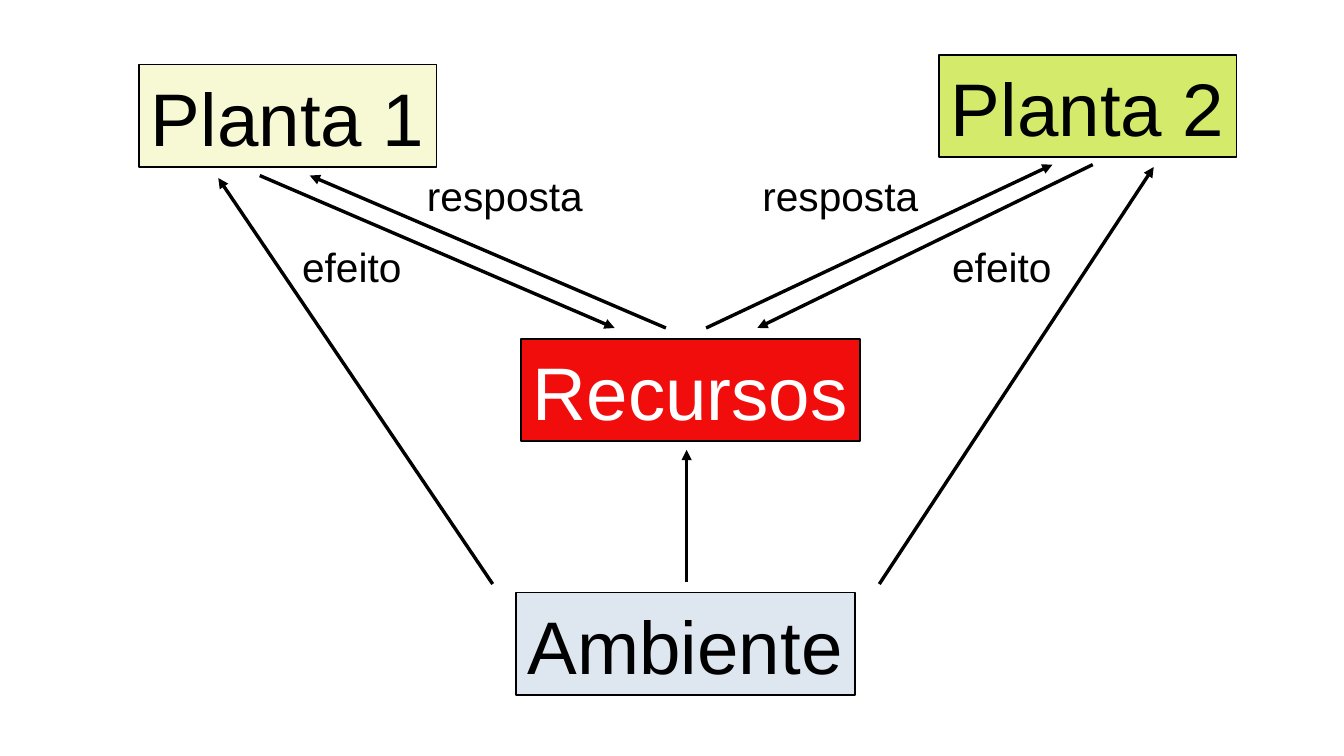
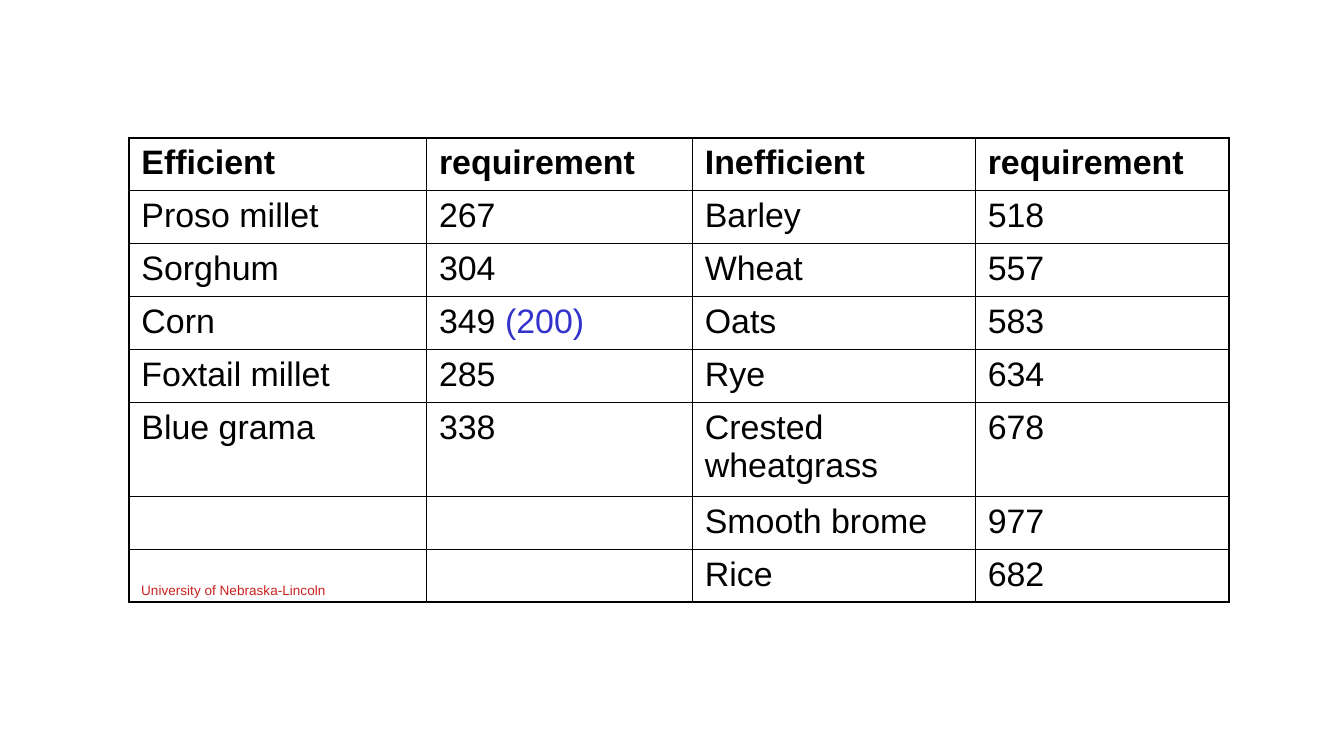
import pptx
import pptx.util
import pptx.dml.color
import pptx.enum.shapes
import pptx.enum.text
import pptx.oxml.ns
from lxml import etree

Inches, Pt = pptx.util.Inches, pptx.util.Pt

FONT = "Arial"
HUES = {"ink": "000000", "white": "FFFFFF", "red": "F10D0C", "mist": "DEE6EF",
        "cream": "F6F9D4", "lime": "D4EA6B", "blue": "3333CC", "brick": "C9211E"}

# text, left, top, width, fill, text colour
BOXES = [("Recursos", 4.27, 2.78, 2.78, "red", "white"),
         ("Ambiente", 4.23, 4.86, 2.78, "mist", "ink"),
         ("Planta 1", 1.14, 0.53, 2.44, "cream", "ink"),
         ("Planta 2", 7.7, 0.45, 2.44, "lime", "ink")]
BOX_TALL = 0.84

# text, left, top, width
LABELS = [("resposta", 3.4, 1.35, 1.48), ("resposta", 6.15, 1.35, 1.48),
          ("efeito", 2.38, 1.93, 1.01), ("efeito", 7.71, 1.93, 1.01)]
LABEL_TALL = 0.5

# start x, start y, end x, end y
ARROWS = [(5.63, 4.77, 5.63, 3.69),
          (5.46, 2.69, 2.54, 1.44), (5.79, 2.69, 8.63, 1.35),
          (2.13, 1.44, 5.04, 2.69), (8.96, 1.35, 6.21, 2.69),
          (4.04, 4.79, 1.79, 1.46), (7.21, 4.79, 9.46, 1.37)]

HEAD = ("Efficient", "requirement", "Inefficient", "requirement")
CROPS = [("Proso millet", "267", "Barley", "518"),
         ("Sorghum", "304", "Wheat", "557"),
         ("Corn", "349 |(200)", "Oats", "583"),  # the part after | is blue
         ("Foxtail millet", "285", "Rye", "634"),
         ("Blue grama", "338", "Crested wheatgrass", "678"),
         ("", "", "Smooth brome", "977"),
         ("", "", "Rice", "682")]
COLS = (2.44, 2.18, 2.32, 2.08)
TABLE_AT = (1.06, 1.13)
TABLE_TALL = 3.81
TALL_ROW, TALL_ROW_SIZE = 5, 0.77
THICK, THIN = 1.08, 0.45
CREDIT = "University of Nebraska-Lincoln"


def rgb(name):
    return pptx.dml.color.RGBColor.from_string(HUES[name])


def add_run(para, text, size, hue="ink", bold=False):
    run = para.add_run()
    run.text = text
    look = {"name": FONT, "size": Pt(size), "bold": bold}
    for key, value in look.items():
        setattr(run.font, key, value)
    run.font.color.rgb = rgb(hue)


def set_text(shape, text, size, hue="ink"):
    """Centre one unwrapped line at the bottom of the shape."""
    frame = shape.text_frame
    look = {"word_wrap": False, "margin_left": 0, "margin_right": 0,
            "vertical_anchor": pptx.enum.text.MSO_ANCHOR.BOTTOM,
            "auto_size": pptx.enum.text.MSO_AUTO_SIZE.NONE}
    for key, value in look.items():
        setattr(frame, key, value)
    para = frame.paragraphs[0]
    para.alignment = pptx.enum.text.PP_ALIGN.CENTER
    add_run(para, text, size, hue)


def add_box(slide, text, left, top, wide, fill, hue):
    box = slide.shapes.add_shape(
        pptx.enum.shapes.MSO_SHAPE.RECTANGLE,
        Inches(left), Inches(top), Inches(wide), Inches(BOX_TALL))
    box.shadow.inherit = False
    box.fill.solid()
    box.fill.fore_color.rgb = rgb(fill)
    box.line.color.rgb = rgb("ink")
    box.line.width = Pt(1)
    set_text(box, text, 44, hue)


def add_arrow(slide, *ends):
    arrow = slide.shapes.add_connector(
        pptx.enum.shapes.MSO_CONNECTOR.STRAIGHT, *map(Inches, ends))
    arrow.line.color.rgb = rgb("ink")
    arrow.line.width = Pt(2)
    qn = pptx.oxml.ns.qn
    props = arrow.line._get_or_add_ln()
    etree.SubElement(props, qn("a:tailEnd"), type="triangle")
    etree.SubElement(props.getparent(), qn("a:effectLst"))


def set_edges(cell, widths):
    """Draw the left, right, top and bottom borders, in that order."""
    qn = pptx.oxml.ns.qn
    props = cell._tc.get_or_add_tcPr()
    for spot, (side, width) in enumerate(zip("LRTB", widths)):
        edge = etree.Element(qn("a:ln" + side), w=str(int(Pt(width))))
        fill = etree.SubElement(edge, qn("a:solidFill"))
        etree.SubElement(fill, qn("a:srgbClr"), val=HUES["ink"])
        props.insert(spot, edge)


def fill_cell(cell, text, bold):
    cell.fill.background()
    para = cell.text_frame.paragraphs[0]
    para.space_before = Pt(5)
    main, _, extra = text.partition("|")
    for part, hue in ((main, "ink"), (extra, "blue")):
        if part:
            add_run(para, part, 20, hue, bold)


def draw_web(slide):
    for box in BOXES:
        add_box(slide, *box)
    for arrow in ARROWS:
        add_arrow(slide, *arrow)
    for text, left, top, wide in LABELS:
        label = slide.shapes.add_textbox(
            Inches(left), Inches(top), Inches(wide), Inches(LABEL_TALL))
        set_text(label, text, 24)


def draw_crops(slide):
    rows = [HEAD] + CROPS
    left, top = TABLE_AT
    table = slide.shapes.add_table(
        len(rows), len(COLS), Inches(left), Inches(top),
        Inches(sum(COLS)), Inches(TABLE_TALL)).table
    table.first_row = table.horz_banding = False
    for col, wide in zip(table.columns, COLS):
        col.width = Inches(wide)
    row_size = (TABLE_TALL - TALL_ROW_SIZE) / (len(rows) - 1)
    last_row, last_col = len(rows) - 1, len(COLS) - 1
    for r, row in enumerate(rows):
        tall = TALL_ROW_SIZE if r == TALL_ROW else row_size
        table.rows[r].height = Inches(tall)
        for c, text in enumerate(row):
            cell = table.cell(r, c)
            fill_cell(cell, text, bold=r == 0)
            outer = (c == 0, c == last_col, r == 0, r == last_row)
            set_edges(cell, [THICK if out else THIN for out in outer])

    credit = slide.shapes.add_textbox(
        Inches(left), Inches(4.72), Inches(1.9), Inches(0.22))
    credit.text_frame.word_wrap = True
    add_run(credit.text_frame.paragraphs[0], CREDIT, 8, "brick")


def main():
    deck = pptx.Presentation()
    deck.slide_width, deck.slide_height = Inches(11.02), Inches(6.2)
    blank = deck.slide_layouts[6]
    for draw in (draw_web, draw_crops):
        draw(deck.slides.add_slide(blank))
    deck.save("out.pptx")


if __name__ == "__main__":
    main()
